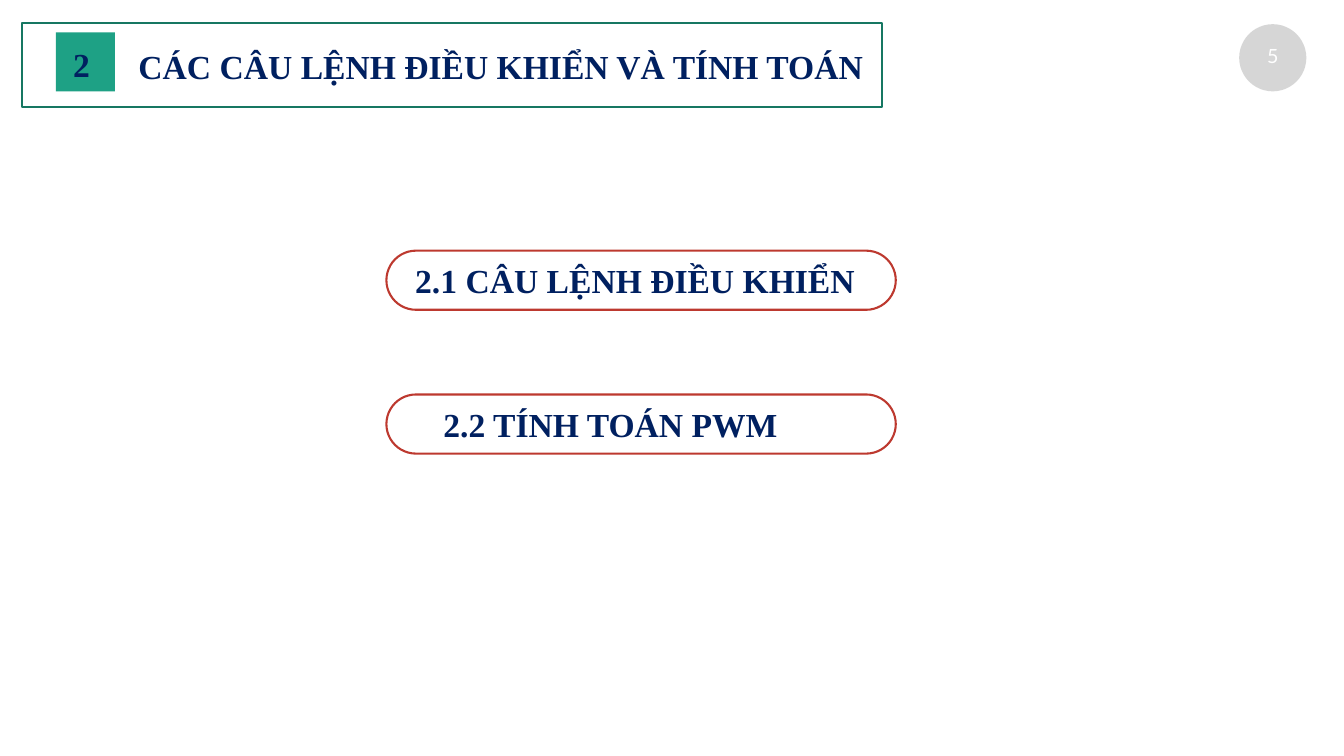
import pptx
import pptx.dml.color
import pptx.enum.shapes
import pptx.enum.text
import pptx.oxml
import pptx.oxml.ns
import pptx.util
from pptx.util import Inches

COLORS = {
    "navy": "002060",
    "green": "1EA185",
    "dark_green": "167762",
    "red": "BD392F",
    "gray": "A6A6A6",
    "white": "FFFFFF",
}
SHAPES = pptx.enum.shapes.MSO_SHAPE
ALIGN = pptx.enum.text.PP_ALIGN

PILL_TOP = 3.73
PILL_STEP = 2.14
SECTIONS = [(6.08, "2.1 CÂU LỆNH ĐIỀU KHIỂN"), (6.5, "2.2 TÍNH TOÁN PWM")]


def color(name):
    return pptx.dml.color.RGBColor.from_string(COLORS[name])


def add_shape(page, kind, left, top, width, height, fill=None, line=None, weight=2):
    shape = page.shapes.add_shape(
        kind, Inches(left), Inches(top), Inches(width), Inches(height))
    shape.shadow.inherit = False
    if fill:
        shape.fill.solid()
        shape.fill.fore_color.rgb = color(fill)
    else:
        shape.fill.background()
    if line:
        shape.line.color.rgb = color(line)
        shape.line.width = pptx.util.Pt(weight)
    else:
        shape.line.fill.background()
    return shape


def set_opacity(shape, percent):
    rgb = shape.fill._xPr.find(".//" + pptx.oxml.ns.qn("a:srgbClr"))
    rgb.append(pptx.oxml.parse_xml(
        f'<a:alpha {pptx.oxml.ns.nsdecls("a")} val="{percent * 1000}"/>'))


def write_text(box, text, size=36, font="Times New Roman", ink="navy",
               bold=True, align=ALIGN.LEFT):
    frame = box.text_frame
    frame.word_wrap = True
    frame.auto_size = pptx.enum.text.MSO_AUTO_SIZE.NONE
    frame.vertical_anchor = pptx.enum.text.MSO_ANCHOR.TOP
    frame.text = text
    para = frame.paragraphs[0]
    para.alignment = align
    para.font.size = pptx.util.Pt(size)
    para.font.name = font
    para.font.bold = bold
    para.font.color.rgb = color(ink)


def add_text(page, text, left, top, width, height, **style):
    box = page.shapes.add_textbox(
        Inches(left), Inches(top), Inches(width), Inches(height))
    write_text(box, text, **style)


def add_title(page, text, left, top, width, height):
    title = page.shapes.title
    title.left, title.top = Inches(left), Inches(top)
    title.width, title.height = Inches(width), Inches(height)
    write_text(title, text)


def add_page_number(page, number):
    circle = add_shape(page, SHAPES.OVAL, 18.44, 0.36, 1, 1, fill="gray")
    set_opacity(circle, 45)
    add_text(page, number, 18.36, 0.6, 1.16, 0.45, size=21, font="Lato",
             ink="white", bold=False, align=ALIGN.CENTER)


def add_section(page, index, text_left, text):
    top = PILL_TOP + index * PILL_STEP
    pill = add_shape(page, SHAPES.ROUNDED_RECTANGLE, 5.75, top, 7.58, 0.88,
                     line="red", weight=2.25)
    pill.adjustments[0] = 0.5
    add_text(page, text, text_left, top + 0.09, 11.44, 0.71)


def main():
    deck = pptx.Presentation()
    deck.slide_width, deck.slide_height = Inches(20), Inches(11.25)
    page = deck.slides.add_slide(deck.slide_layouts.get_by_name("Title Only"))

    add_page_number(page, "5")
    add_shape(page, SHAPES.RECTANGLE, 0.83, 0.48, 0.88, 0.88, fill="green")
    add_shape(page, SHAPES.RECTANGLE, 0.33, 0.34, 12.79, 1.25, line="dark_green")
    add_title(page, "CÁC CÂU LỆNH ĐIỀU KHIỂN VÀ TÍNH TOÁN", 1.96, 0.64, 11.44, 0.71)
    add_text(page, "2", 0.99, 0.6, 3.99, 0.71)
    for index, (text_left, text) in enumerate(SECTIONS):
        add_section(page, index, text_left, text)

    deck.save("out.pptx")


if __name__ == "__main__":
    main()
